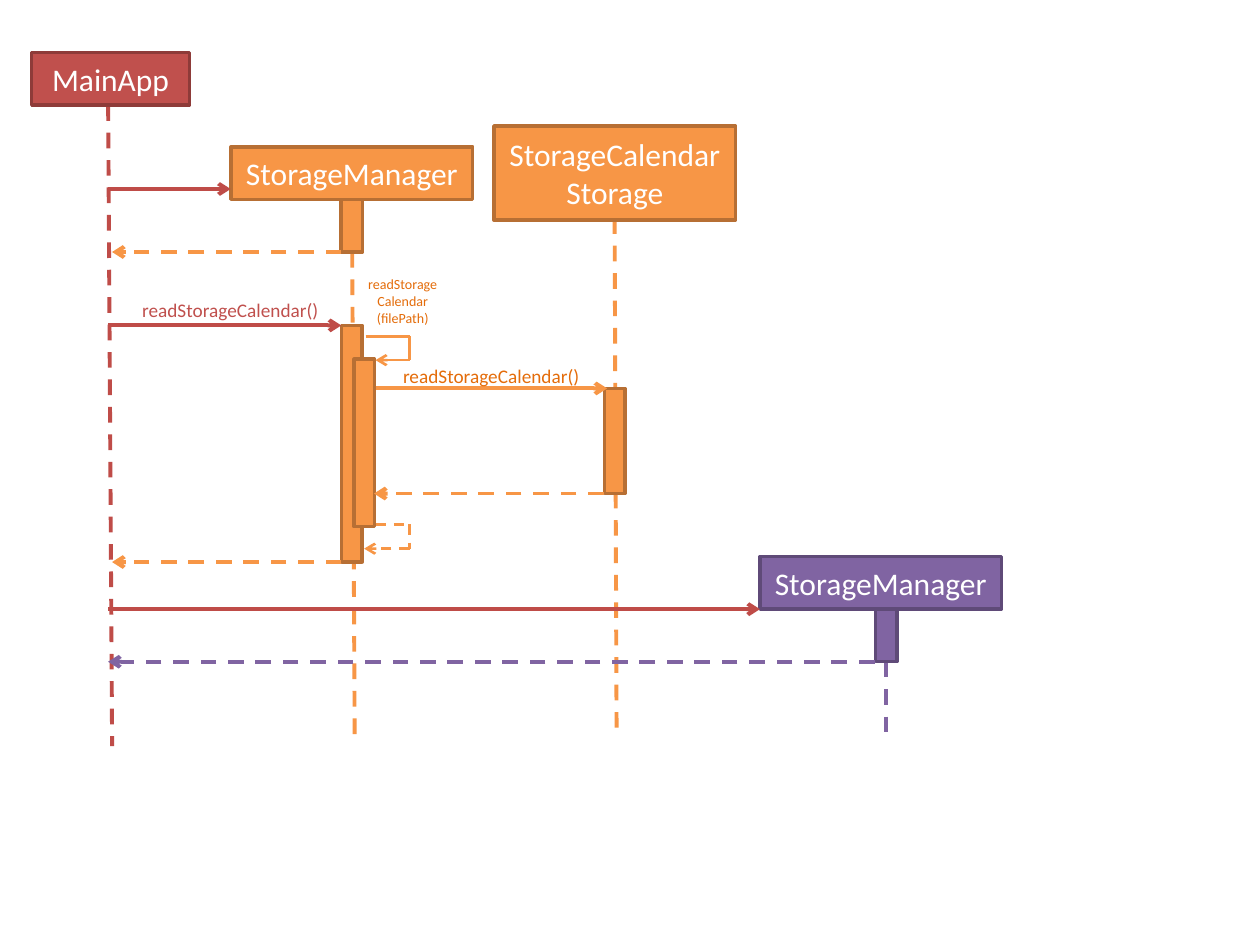
from lxml.etree import SubElement
from pptx import Presentation
from pptx.dml.color import RGBColor
from pptx.enum.dml import MSO_LINE
from pptx.enum.shapes import MSO_CONNECTOR, MSO_SHAPE
from pptx.enum.text import MSO_ANCHOR, MSO_AUTO_SIZE, PP_ALIGN
from pptx.oxml.ns import qn
from pptx.util import Cm, Pt

RED, RED_LINE, RED_EDGE = "C0504D", "BF4C48", "8E3B39"
ORANGE, ORANGE_EDGE, ORANGE_TEXT = "F79646", "B76F34", "E46C0A"
PURPLE, PURPLE_EDGE = "8064A2", "5F4A78"


def colour(hex_string):
    """Turn a hex string into a colour."""
    return RGBColor.from_string(hex_string)


def apply(target, formats):
    """Set each attribute named in formats on target."""
    for name, value in formats.items():
        setattr(target, name, value)


def write(frame, lines, size, ink):
    """Fill a text frame with centred lines, one paragraph each."""
    for number, line in enumerate(lines):
        paragraph = frame.add_paragraph() if number else frame.paragraphs[0]
        paragraph.alignment = PP_ALIGN.CENTER
        run = paragraph.add_run()
        run.text = line
        apply(run.font, {"name": "Calibri", "size": Pt(size)})
        run.font.color.rgb = colour(ink)


def draw_block(slide, box, fill, edge):
    """Draw a filled, outlined rectangle in the box."""
    block = slide.shapes.add_shape(MSO_SHAPE.RECTANGLE, *map(Cm, box))
    block.shadow.inherit = False
    block.fill.solid()
    block.fill.fore_color.rgb = colour(fill)
    block.line.color.rgb = colour(edge)
    block.line.width = Pt(2)
    return block


def draw_line(slide, start, end, ink, width=2.25, dashed=False, arrow=False):
    """Draw a straight line, optionally dashed or with an arrowhead."""
    stroke = slide.shapes.add_connector(
        MSO_CONNECTOR.STRAIGHT, *map(Cm, (*start, *end)))
    stroke.line.color.rgb = colour(ink)
    apply(stroke.line, {"width": Pt(width),
                        "dash_style": MSO_LINE.DASH if dashed else None})
    if arrow:
        SubElement(stroke.line._get_or_add_ln(), qn("a:tailEnd"), type="arrow")
    SubElement(stroke._element.spPr, qn("a:effectLst"))


def draw_label(slide, box, lines, size, ink, wrap):
    """Write a free-standing label in the box."""
    frame = slide.shapes.add_textbox(*map(Cm, box)).text_frame
    apply(frame, {"word_wrap": wrap,
                  "auto_size": MSO_AUTO_SIZE.SHAPE_TO_FIT_TEXT})
    write(frame, lines, size, ink)


def draw_participant(slide, box, name, fill, edge, ink, lifeline):
    """Draw a named head and its lifeline, given relative to the head."""
    left, top = box[:2]
    x1, y1, x2, y2 = lifeline
    draw_line(slide, (left + x1, top + y1), (left + x2, top + y2),
              ink, dashed=True)
    frame = draw_block(slide, box, fill, edge).text_frame
    frame.vertical_anchor = MSO_ANCHOR.MIDDLE
    write(frame, [name], 18, "FFFFFF")


def draw_message(slide, start, length, ink, dashed=False):
    """Draw a level arrow; a negative length points left."""
    x, y = start
    draw_line(slide, start, (x + length, y), ink, dashed=dashed, arrow=True)


def draw_call_label(slide, corner, ink):
    """Write the name of the call above its arrow."""
    draw_label(slide, (*corner, 4.11, 0.74), ["readStorageCalendar()"],
               11, ink, False)


def draw_self_message(slide, box, indents, dashed):
    """Draw a three-sided loop on the right edge of the box."""
    left, top, width, height = box
    right, bottom = left + width, top + height
    out, back = indents
    corners = [(left + out, top), (right, top),
               (right, bottom), (left + back, bottom)]
    for number, (start, end) in enumerate(zip(corners, corners[1:])):
        draw_line(slide, start, end, ORANGE, 1.5, dashed, number == 2)


def draw_sequence(slide):
    """Draw the whole sequence diagram."""
    participants = [
        ((0.64, 1.06, 3.18, 1.06), "MainApp", RED, RED_EDGE, RED_LINE,
         (1.54, 1.06, 1.62, 13.98)),
        ((4.66, 2.96, 4.87, 1.06), "StorageManager", ORANGE, ORANGE_EDGE,
         ORANGE, (2.44, 2.12, 2.49, 11.86)),
        ((9.96, 2.54, 4.87, 1.9), "StorageCalendarStorage", ORANGE,
         ORANGE_EDGE, ORANGE, (2.43, 1.86, 2.47, 12.28)),
        ((15.32, 11.22, 4.87, 1.06), "StorageManager", PURPLE, PURPLE_EDGE,
         PURPLE, (2.54, 2.12, 2.54, 3.6)),
    ]
    activations = [
        ((6.88, 4.02, 0.43, 1.06), ORANGE, ORANGE_EDGE),
        ((6.89, 6.56, 0.41, 4.77), ORANGE, ORANGE_EDGE),
        ((7.14, 7.24, 0.41, 3.38), ORANGE, ORANGE_EDGE),
        ((12.19, 7.83, 0.41, 2.12), ORANGE, ORANGE_EDGE),
        ((17.65, 12.28, 0.43, 1.06), PURPLE, PURPLE_EDGE),
    ]
    messages = [
        ((2.18, 3.81), 2.47, RED_LINE),
        ((6.88, 5.08), -4.62, ORANGE, True),
        ((2.18, 6.56), 4.7, RED_LINE),
        ((7.57, 7.83), 4.67, ORANGE),
        ((12.17, 9.95), -4.63, ORANGE, True),
        ((6.88, 11.33), -4.62, ORANGE, True),
        ((2.18, 12.28), 13.14, RED_LINE),
        ((17.63, 13.34), -15.45, PURPLE, True),
    ]
    for participant in participants:
        draw_participant(slide, *participant)
    for activation in activations:
        draw_block(slide, *activation)
    for message in messages:
        draw_message(slide, *message)
    draw_call_label(slide, (2.59, 5.89), RED)
    draw_call_label(slide, (7.85, 7.21), ORANGE_TEXT)
    draw_label(slide, (7.14, 5.44, 1.96, 1.27),
               ["readStorage", "Calendar", "(filePath)"], 8, ORANGE_TEXT, True)
    draw_self_message(slide, (7.34, 6.78, 0.92, 0.48), (0.03, 0.23), False)
    draw_self_message(slide, (7.34, 10.57, 0.92, 0.49), (0.23, 0), True)


deck = Presentation()
apply(deck, {"slide_width": Cm(25.4), "slide_height": Cm(19.05)})
draw_sequence(deck.slides.add_slide(deck.slide_layouts[6]))
deck.save("out.pptx")
